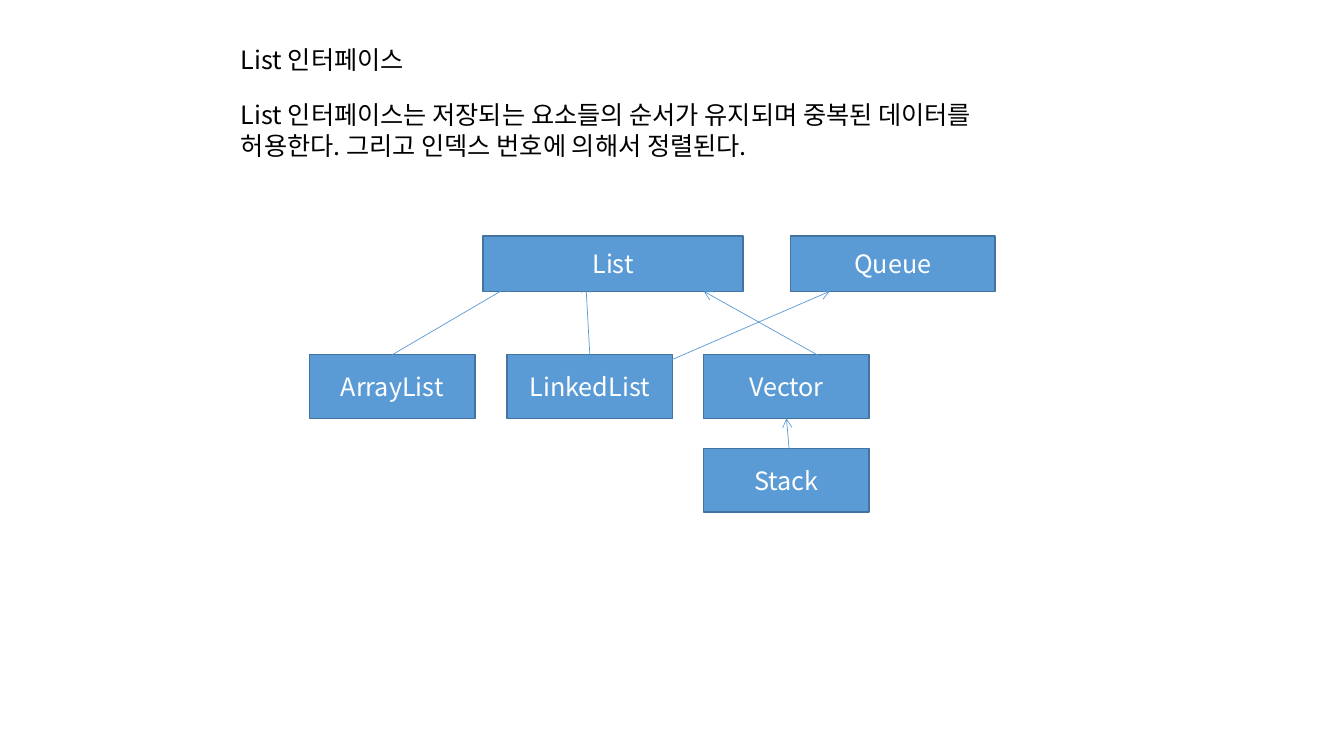
from lxml import etree
from pptx import Presentation
from pptx.dml.color import RGBColor
from pptx.enum.shapes import MSO_CONNECTOR, MSO_SHAPE
from pptx.enum.text import MSO_ANCHOR, MSO_AUTO_SIZE, PP_ALIGN
from pptx.oxml.ns import qn
from pptx.util import Pt

PX = 9144  # 100 px to the inch
FONT = "Noto Sans CJK KR"
BLACK = RGBColor(0x00, 0x00, 0x00)
WHITE = RGBColor(0xFF, 0xFF, 0xFF)
BLUE = RGBColor(0x5B, 0x9B, 0xD5)
DARK_BLUE = RGBColor(0x43, 0x73, 0x9E)

STRAIGHT = MSO_CONNECTOR.STRAIGHT
RECTANGLE = MSO_SHAPE.RECTANGLE
TOP, MIDDLE = MSO_ANCHOR.TOP, MSO_ANCHOR.MIDDLE
LEFT, CENTER = PP_ALIGN.LEFT, PP_ALIGN.CENTER
GROW, FIXED = MSO_AUTO_SIZE.SHAPE_TO_FIT_TEXT, MSO_AUTO_SIZE.NONE
TOP_SIDE, BOTTOM_SIDE = 0, 2


def emu(*lengths):
    return [length * PX for length in lengths]


def write(shape, text, color=BLACK, size=18, align=LEFT, anchor=TOP, auto_size=GROW):
    frame = shape.text_frame
    frame.word_wrap = True
    frame.auto_size = auto_size
    frame.vertical_anchor = anchor
    paragraph = frame.paragraphs[0]
    paragraph.alignment = align
    run = paragraph.add_run()
    run.text = text
    run.font.name = FONT
    run.font.size = Pt(size)
    run.font.color.rgb = color
    properties = run.font._element
    etree.SubElement(properties, qn("a:ea")).set("typeface", FONT)


def add_class_box(slide, name, left, top, width, height):
    box = slide.shapes.add_shape(RECTANGLE, *emu(left, top, width, height))
    box.shadow.inherit = False
    box.fill.solid()
    box.fill.fore_color.rgb = BLUE
    box.line.color.rgb = DARK_BLUE
    box.line.width = Pt(1)
    write(box, name, color=WHITE, align=CENTER, anchor=MIDDLE, auto_size=FIXED)
    return box


def add_arrow(slide, start, end, child=None, parent=None):
    """Draw an arrow, joined to the top of child and the bottom of parent if given."""
    arrow = slide.shapes.add_connector(STRAIGHT, *emu(*start, *end))
    if child is not None:
        arrow.begin_connect(child, TOP_SIDE)
    if parent is not None:
        arrow.end_connect(parent, BOTTOM_SIDE)
    arrow.line.color.rgb = BLUE
    arrow.line.width = Pt(0.5)
    properties = arrow._element.spPr
    etree.SubElement(properties.find(qn("a:ln")), qn("a:tailEnd")).set("type", "arrow")
    etree.SubElement(properties, qn("a:effectLst"))


def add_heading(slide, left, top):
    title = slide.shapes.title
    title.left, title.top, title.width, title.height = emu(left, top, 633, 40)
    write(title, "List 인터페이스")
    description = slide.shapes.add_textbox(*emu(left, top + 55, 828, 71))
    write(description, "List 인터페이스는 저장되는 요소들의 순서가 유지되며 중복된 데이터를 "
                       "허용한다. 그리고 인덱스 번호에 의해서 정렬된다.")


def add_class_diagram(slide, left, top):
    width, height, interface_height = 164, 63, 55
    step = width + 31
    row = top + 118
    interface_bottom = top + interface_height
    vector_left = left + 2 * step + 1

    add_class_box(slide, "List", left + 172, top, 258, interface_height)
    add_class_box(slide, "Queue", left + 477, top, 203, interface_height)
    array_list = add_class_box(slide, "ArrayList", left, row, width, height)
    linked_list = add_class_box(slide, "LinkedList", left + step + 1, row, width, height)
    vector = add_class_box(slide, "Vector", vector_left, row, width, height)
    add_class_box(slide, "Stack", vector_left, row + 93, width, height)

    inside_list = interface_bottom - 8
    add_arrow(slide, (left + 82, row), (left + 203, inside_list), child=array_list)
    add_arrow(slide, (left + 278, row), (left + 274, inside_list), child=linked_list)
    add_arrow(slide, (left + 516, row + 7), (vector_left, interface_bottom))
    add_arrow(slide, (left + 477, row + 109), (left + 473, row + height), parent=vector)
    add_arrow(slide, (left + 336, row + 15), (left + 516, interface_bottom))


def main():
    presentation = Presentation()
    presentation.slide_width, presentation.slide_height = emu(1333, 750)
    title_only = presentation.slide_layouts[5]
    slide = presentation.slides.add_slide(title_only)
    add_heading(slide, 229, 39)
    add_class_diagram(slide, 307, 234)
    presentation.save("out.pptx")


if __name__ == "__main__":
    main()
